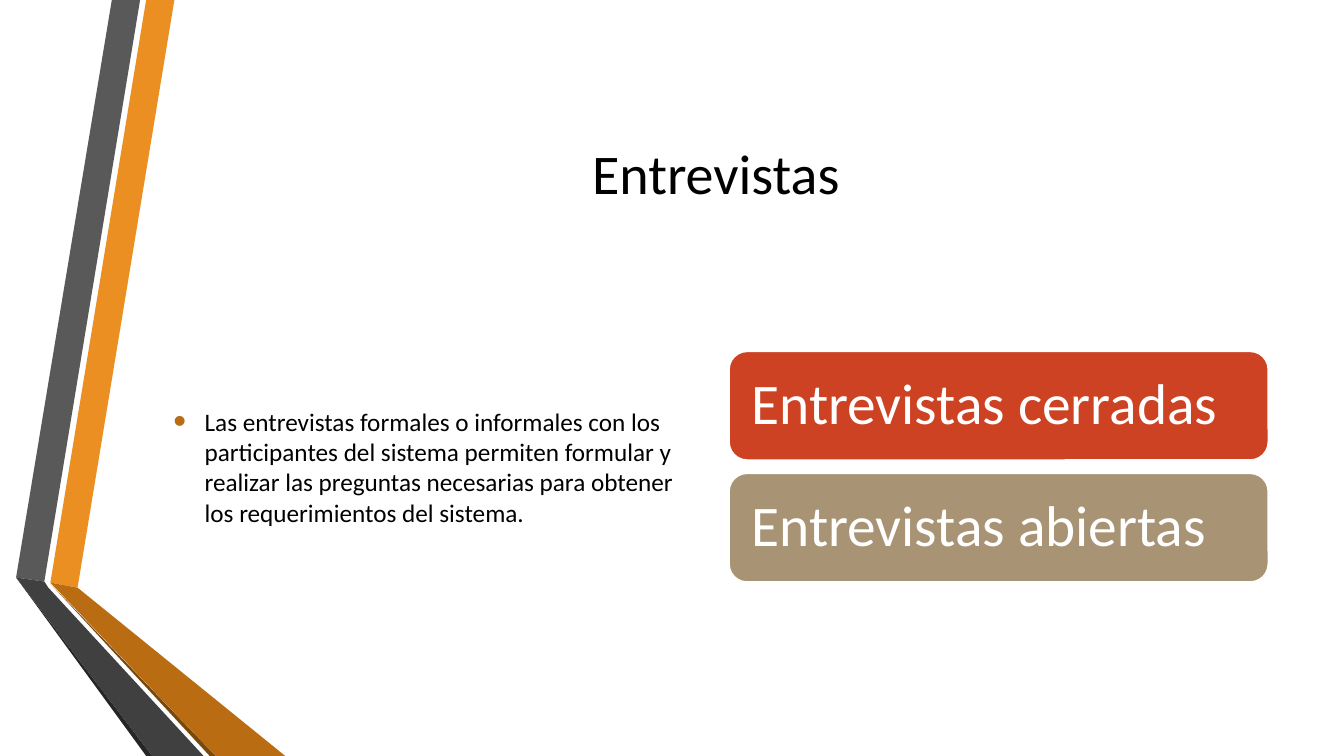
from lxml.etree import SubElement
from pptx import Presentation
from pptx.dml.color import RGBColor
from pptx.enum.shapes import MSO_SHAPE
from pptx.enum.text import MSO_ANCHOR, MSO_AUTO_SIZE, PP_ALIGN
from pptx.oxml.ns import qn
from pptx.util import Inches, Pt

BLACK = RGBColor(0x00, 0x00, 0x00)
WHITE = RGBColor(0xFF, 0xFF, 0xFF)
ORANGE = RGBColor(0xEB, 0x8F, 0x22)
DARK_ORANGE = RGBColor(0xB9, 0x6C, 0x11)
BROWN = RGBColor(0x7B, 0x48, 0x0B)
GRAY = RGBColor(0x59, 0x59, 0x59)
DARK_GRAY = RGBColor(0x40, 0x40, 0x40)
CHARCOAL = RGBColor(0x26, 0x26, 0x26)
RED = RGBColor(0xCD, 0x42, 0x23)
TAN = RGBColor(0xA8, 0x93, 0x74)

FONT = "Calibri"
SLIDE_W, SLIDE_H = 13.33, 7.5

# Two-column content grid, in inches
LEFT, COLUMN_W, GUTTER = 1.62, 5.35, 0.26
CONTENT_W = 2 * COLUMN_W + GUTTER
RIGHT_COLUMN = LEFT + COLUMN_W + GUTTER
TITLE_TOP, TITLE_H = SLIDE_H * 0.1, 1.92
BODY_TOP, BODY_H = 2.92, 3.42
CARD_H, CARD_GAP = 1.08, 0.13

# Folded ribbons: colour and corners, back to front
RIBBONS = [
    (ORANGE, [(0.5, 5.78), (0.77, 5.83), (1.73, 0), (1.45, 0)]),
    (GRAY, [(1.39, 0), (1.11, 0), (0.16, 5.73), (0.44, 5.77)]),
    (CHARCOAL, [(0.16, 5.73), (1.45, SLIDE_H), (1.51, SLIDE_H)]),
    (BROWN, [(0.5, 5.79), (2.08, SLIDE_H), (2.14, SLIDE_H)]),
    (DARK_ORANGE, [(0.5, 5.78), (2.14, SLIDE_H), (2.83, SLIDE_H), (0.77, 5.83)]),
    (DARK_GRAY, [(2.02, SLIDE_H), (0.48, 5.83), (0.44, 5.77), (0.16, 5.73),
                 (1.51, SLIDE_H)]),
]

CARDS = [("Entrevistas cerradas", RED), ("Entrevistas abiertas", TAN)]
DESCRIPTION = (
    "Las entrevistas formales o informales con los participantes del sistema "
    "permiten formular y realizar las preguntas necesarias para obtener los "
    "requerimientos del sistema."
)


def add_ribbon(slide, color, corners):
    points = [(Inches(x), Inches(y)) for x, y in corners]
    builder = slide.shapes.build_freeform(*points[0])
    builder.add_line_segments(points[1:], close=True)
    ribbon = builder.convert_to_shape()
    ribbon.shadow.inherit = False
    ribbon.fill.solid()
    ribbon.fill.fore_color.rgb = color
    ribbon.line.fill.background()


def write(frame, text, size, color, align):
    """Fill a frame with one vertically centred paragraph."""
    frame.text = text
    frame.word_wrap = True
    frame.auto_size = MSO_AUTO_SIZE.NONE
    frame.vertical_anchor = MSO_ANCHOR.MIDDLE
    paragraph = frame.paragraphs[0]
    paragraph.alignment = align
    paragraph.font.name = FONT
    paragraph.font.size = Pt(size)
    paragraph.font.color.rgb = color
    return paragraph


def place(placeholder, left, top, width, height):
    placeholder.left, placeholder.top = Inches(left), Inches(top)
    placeholder.width, placeholder.height = Inches(width), Inches(height)


def set_bullet(paragraph, color, percent, indent):
    properties = paragraph._p.get_or_add_pPr()
    properties.set("marL", str(Inches(indent)))
    properties.set("indent", str(-Inches(indent)))
    bullet_color = SubElement(properties, qn("a:buClr"))
    SubElement(bullet_color, qn("a:srgbClr")).set("val", str(color))
    SubElement(properties, qn("a:buSzPct")).set("val", str(percent * 1000))
    SubElement(properties, qn("a:buFont")).set("typeface", "Arial")
    SubElement(properties, qn("a:buChar")).set("char", "•")


def add_card(slide, top, label, color):
    card = slide.shapes.add_shape(
        MSO_SHAPE.ROUNDED_RECTANGLE,
        Inches(RIGHT_COLUMN), Inches(top), Inches(COLUMN_W), Inches(CARD_H))
    card.shadow.inherit = False
    card.fill.solid()
    card.fill.fore_color.rgb = color
    card.line.color.rgb = WHITE
    card.line.width = Pt(1.25)
    frame = card.text_frame
    # The rounded corners already add 0.05 inches to each inset
    frame.margin_left = frame.margin_right = Inches(0.17)
    frame.margin_top = frame.margin_bottom = Inches(0.17)
    write(frame, label, 41, WHITE, PP_ALIGN.LEFT).line_spacing = 0.9


def main():
    presentation = Presentation()
    presentation.slide_width = Inches(SLIDE_W)
    presentation.slide_height = Inches(SLIDE_H)
    slide = presentation.slides.add_slide(presentation.slide_layouts[1])
    title, body = slide.placeholders

    # Decoration, kept behind the text
    for color, corners in RIBBONS:
        add_ribbon(slide, color, corners)
    for placeholder in (title, body):
        slide.shapes._spTree.append(placeholder._element)

    # Title and description
    place(title, LEFT, TITLE_TOP, CONTENT_W, TITLE_H)
    write(title.text_frame, "Entrevistas", 40, BLACK, PP_ALIGN.CENTER)
    place(body, LEFT, BODY_TOP, COLUMN_W, BODY_H)
    description = write(body.text_frame, DESCRIPTION, 18, BLACK, PP_ALIGN.LEFT)
    description.space_after = Pt(6)
    set_bullet(description, DARK_ORANGE, 145, 0.31)

    # Interview types, centred on the description
    stack_h = len(CARDS) * (CARD_H + CARD_GAP) - CARD_GAP
    stack_top = BODY_TOP + (BODY_H - stack_h) / 2
    for row, (label, color) in enumerate(CARDS):
        add_card(slide, stack_top + row * (CARD_H + CARD_GAP), label, color)

    presentation.save("out.pptx")


if __name__ == "__main__":
    main()
